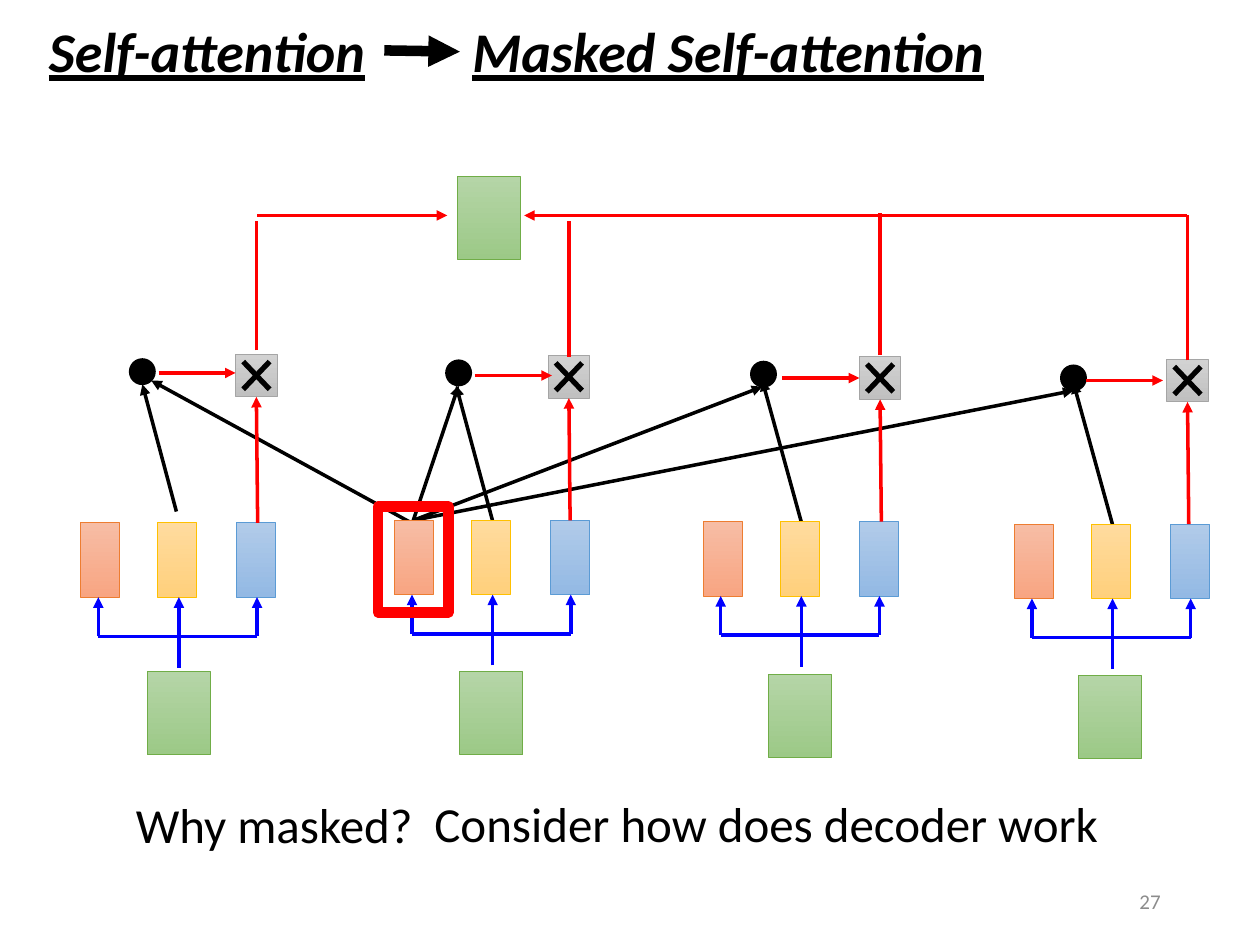
from lxml import etree
from pptx import Presentation
from pptx.dml.color import RGBColor
from pptx.enum.shapes import MSO_CONNECTOR, MSO_SHAPE
from pptx.enum.text import MSO_ANCHOR, PP_ALIGN
from pptx.oxml.ns import qn
from pptx.util import Inches, Pt

STRAIGHT = MSO_CONNECTOR.STRAIGHT
RECTANGLE, OVAL = MSO_SHAPE.RECTANGLE, MSO_SHAPE.OVAL
LEFT, RIGHT = PP_ALIGN.LEFT, PP_ALIGN.RIGHT
TOP, MIDDLE = MSO_ANCHOR.TOP, MSO_ANCHOR.MIDDLE

THEME = {
    "font": "Calibri",
    "black": "000000", "red": "FF0000", "blue": "0000FF", "grey": "8C8C8C",
    # Gradient start, gradient end, outline
    "query": ("F7BDA5", "F8A582", "ED7D31"),
    "key": ("FFDB9E", "FFD07C", "FFC000"),
    "value": ("B1CBE9", "93B9E4", "5B9BD5"),
    "token": ("B5D5A7", "9CC987", "70AD47"),
    "gate": ("D2D2D2", "C0C0C0", "A5A5A5"),
    "title": {"size": Pt(32), "bold": True, "italic": True, "underline": True},
    "body": {"size": Pt(28)},
    "number": {"size": Pt(12)},
}

# Text, box, style, colour, alignment, anchor, wrap
TEXTS = [
    ("Self-attention", (0.29, 0.08, 2.76, 0.64), "title", "black", LEFT, TOP, False),
    ("Masked Self-attention", (3.65, 0.08, 4.32, 0.64), "title", "black", LEFT, TOP, False),
    ("Why masked?", (0.98, 6.26, 5.46, 0.57), "body", "black", LEFT, TOP, True),
    ("Consider how does decoder work", (3.35, 6.25, 6.33, 0.57), "body", "black", LEFT, TOP, True),
    ("27", (7.06, 6.95, 2.25, 0.4), "number", "grey", RIGHT, MIDDLE, True),
]

# One entry per input position: top left corners, weight arrow start, riser ends
POSITIONS = [
    {"boxes": (0.64, 4.15), "dot": (1.03, 2.85), "gate": (1.87, 2.81),
     "token": (1.17, 5.33), "weight": (1.26, 2.96), "riser": (2.78, 1.75)},
    {"boxes": (3.13, 4.13), "dot": (3.54, 2.86), "gate": (4.35, 2.82),
     "token": (3.65, 5.33), "weight": (3.77, 2.98), "riser": (2.83, 1.75)},
    {"boxes": (5.58, 4.14), "dot": (5.96, 2.87), "gate": (6.82, 2.83),
     "token": (6.1, 5.35), "weight": (6.21, 3), "riser": (2.82, 1.69)},
    {"boxes": (8.05, 4.16), "dot": (8.42, 2.9), "gate": (9.26, 2.85),
     "token": (8.56, 5.36), "weight": (8.62, 3.02), "riser": (2.86, 1.71)},
]

# Box kind, box offset and feed arrow offset from the left of its group
BOX_KINDS = [("query", 0, 0.14), ("key", 0.61, 0.78), ("value", 1.24, 1.4)]

KEY_ARROWS = [
    ((1.4, 4.06), (1.13, 3.05)), ((3.93, 4.21), (3.62, 3.06)),
    ((6.37, 4.18), (6.05, 3.02)), ((8.84, 4.2), (8.52, 3.04)),
]
QUERY_ARROWS = [
    ((3.32, 4.18), (1.2, 3.02)), ((3.28, 4.13), (3.64, 3.06)),
    ((3.28, 4.13), (6.05, 3.07)), ((3.28, 4.13), (8.52, 3.1)),
]
SUM_ARROWS = [((2.04, 1.71), (3.55, 1.71)), ((9.42, 1.71), (4.16, 1.71))]
TITLE_ARROW = ((3.05, 0.4), (3.65, 0.41))
OUTPUT = (3.63, 1.4)
QUERY_FRAME = (3, 4.02, 0.56, 0.84)

BOX_SIZE, TOKEN_SIZE = (0.31, 0.59), (0.5, 0.66)
GATE_SIZE, DOT_SIZE = (0.33, 0.34), (0.2, 0.2)
WEIGHT_LENGTH, CROSS_INSET = 0.61, 0.06
BUS_DROP, TRUNK_DROP = 0.9, 1.15


def rgb(name):
    return RGBColor.from_string(THEME.get(name, name))


def add_line(slide, start, end, color, width=2, arrow=False):
    line = slide.shapes.add_connector(
        STRAIGHT, *(Inches(value) for value in (*start, *end)))
    line.line.color.rgb = rgb(color)
    line.line.width = Pt(width)
    if arrow:
        etree.SubElement(line.line._get_or_add_ln(), qn("a:tailEnd"), type="triangle")
    etree.SubElement(line._element.spPr, qn("a:effectLst"))


def add_outlined(slide, kind, box, color, width):
    shape = slide.shapes.add_shape(kind, *map(Inches, box))
    shape.shadow.inherit = False
    shape.line.color.rgb = rgb(color)
    shape.line.width = Pt(width)
    return shape


def add_block(slide, kind, corner, size):
    *stops, outline = THEME[kind]
    shape = add_outlined(slide, RECTANGLE, (*corner, *size), outline, 0.5)
    shape.fill.gradient()
    shape.fill.gradient_angle = 270
    for stop, color in zip(shape.fill.gradient_stops, stops):
        stop.color.rgb = rgb(color)


def add_text(slide, text, box, style, color, alignment, anchor, wrap):
    frame = slide.shapes.add_textbox(*map(Inches, box)).text_frame
    frame.word_wrap = wrap
    frame.vertical_anchor = anchor
    paragraph = frame.paragraphs[0]
    paragraph.alignment = alignment
    run = paragraph.add_run()
    run.text = text
    run.font.color.rgb = rgb(color)
    for name, value in {"name": THEME["font"], **THEME[style]}.items():
        setattr(run.font, name, value)


def add_inputs(slide, position):
    """Token at the bottom, feeding its query, key and value boxes."""
    left, top = position["boxes"]
    bottom, bus = top + BOX_SIZE[1], top + BUS_DROP
    for kind, offset, feed in BOX_KINDS:
        add_block(slide, kind, (left + offset, top), BOX_SIZE)
        start = top + TRUNK_DROP if kind == "key" else bus
        add_line(slide, (left + feed, start), (left + feed, bottom), "blue", arrow=True)
    first, last = BOX_KINDS[0][2], BOX_KINDS[-1][2]
    add_line(slide, (left + first, bus), (left + last, bus), "blue")
    add_block(slide, "token", position["token"], TOKEN_SIZE)


def add_product(slide, position):
    """Dot product, then the gate that multiplies its weight with the value."""
    dot = add_outlined(slide, OVAL, (*position["dot"], *DOT_SIZE), "black", 1)
    dot.fill.solid()
    dot.fill.fore_color.rgb = rgb("black")

    left, top = position["gate"]
    width, height = GATE_SIZE
    center, bottom = left + width / 2, top + height
    value_top = position["boxes"][1]
    add_block(slide, "gate", (left, top), GATE_SIZE)
    near, far = left + CROSS_INSET, left + width - CROSS_INSET
    upper, lower = top + CROSS_INSET, bottom - CROSS_INSET
    add_line(slide, (near, upper), (far, lower), "black", 3)
    add_line(slide, (far, upper), (near, lower), "black", 3)

    add_line(slide, (center + 0.01, value_top), (center, bottom), "red", arrow=True)
    riser_start, riser_end = position["riser"]
    add_line(slide, (center, riser_start), (center, riser_end), "red")
    x, y = position["weight"]
    add_line(slide, (x, y), (x + WEIGHT_LENGTH, y), "red", arrow=True)


def main():
    presentation = Presentation()
    presentation.slide_width, presentation.slide_height = Inches(10), Inches(7.5)
    slide = presentation.slides.add_slide(presentation.slide_layouts[6])

    # Attention arrows lie behind the blocks
    for start, end in KEY_ARROWS + QUERY_ARROWS:
        add_line(slide, start, end, "black", arrow=True)
    for position in POSITIONS:
        add_inputs(slide, position)
        add_product(slide, position)

    # Weighted sum into the output
    add_block(slide, "token", OUTPUT, TOKEN_SIZE)
    for start, end in SUM_ARROWS:
        add_line(slide, start, end, "red", arrow=True)

    # Highlighted query
    add_outlined(slide, RECTANGLE, QUERY_FRAME, "red", 6).fill.background()

    # Title, question and slide number
    add_line(slide, *TITLE_ARROW, "black", 6, arrow=True)
    for entry in TEXTS:
        add_text(slide, *entry)

    presentation.save("out.pptx")


if __name__ == "__main__":
    main()
